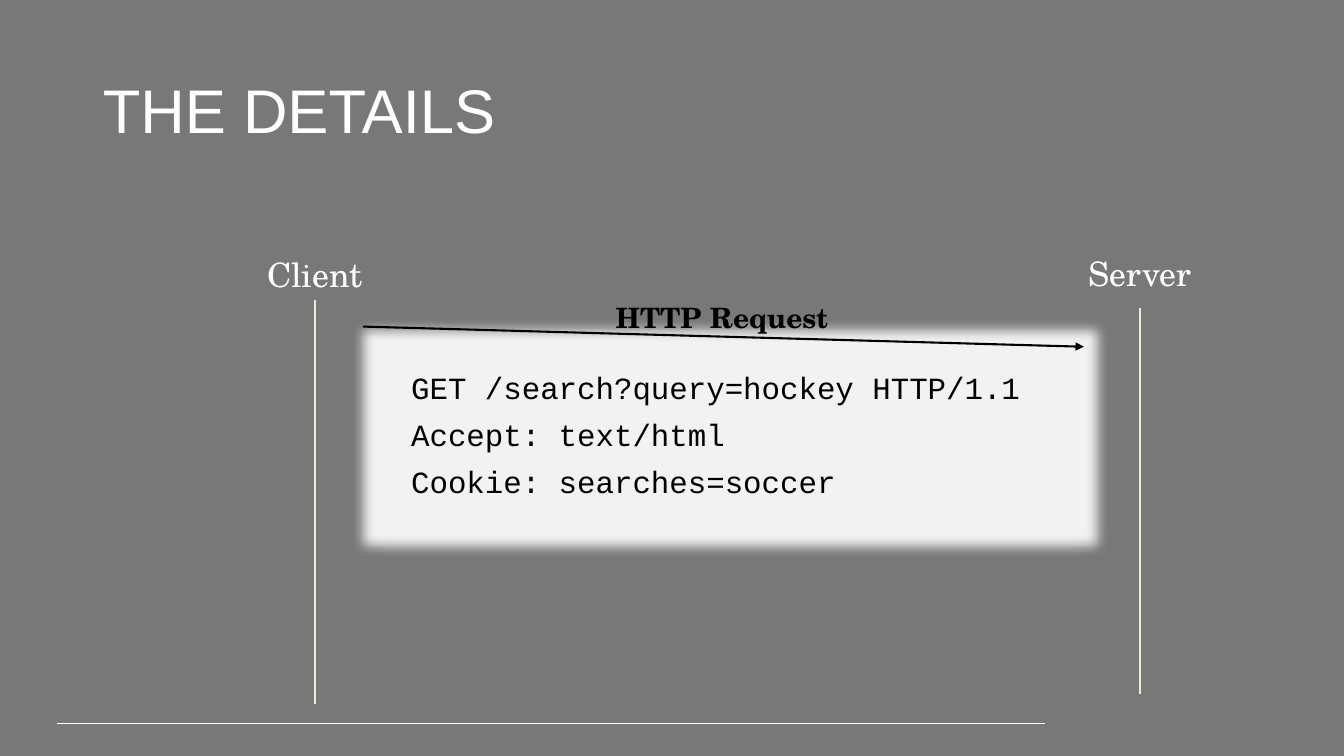
from lxml import etree
from pptx import Presentation
from pptx.dml.color import RGBColor
from pptx.enum import shapes, text
from pptx.oxml.ns import qn
from pptx.util import Inches, Pt

GREY = RGBColor(0x78, 0x78, 0x78)
WHITE = RGBColor(0xFF, 0xFF, 0xFF)
IVORY = RGBColor(0xEB, 0xEB, 0xDF)
PALE = RGBColor(0xF2, 0xF2, 0xF2)
BLACK = RGBColor(0, 0, 0)

SERIF = "TeX Gyre Schola"
LABEL = {"name": SERIF, "size": Pt(24)}
BOLD = {"name": SERIF, "size": Pt(20), "bold": True}
CODE = {"name": "Courier New", "size": Pt(22)}
HEAD = {"name": "Arial", "size": Pt(44), "bold": False}
MID = text.PP_ALIGN.CENTER
LEFT = text.PP_ALIGN.LEFT
REQUEST = ["GET /search?query=hockey HTTP/1.1", "Accept: text/html",
           "Cookie: searches=soccer"]


def write(shape, lines, form, color, align, anchor=text.MSO_ANCHOR.TOP):
    frame = shape.text_frame
    frame.word_wrap = True
    frame.auto_size = text.MSO_AUTO_SIZE.NONE
    frame.vertical_anchor = anchor
    frame.text = "\n".join(lines)
    for i, para in enumerate(frame.paragraphs):
        para.alignment = align
        para.line_spacing = 0.9
        para.space_before = Pt(10 if i else 0)
        for key, value in form.items():
            setattr(para.font, key, value)
        para.font.color.rgb = color


def label(slide, box, words, form, color):
    part = slide.shapes.add_textbox(*map(Inches, box))
    write(part, [words], form, color, MID)


def line(slide, start, end, color, width, arrow=False):
    part = slide.shapes.add_connector(
        shapes.MSO_CONNECTOR.STRAIGHT, *map(Inches, start + end))
    part.line.color.rgb = color
    part.line.width = Pt(width)
    props = part._element.spPr
    if arrow:
        etree.SubElement(props.find(qn("a:ln")), qn("a:tailEnd"),
                         type="triangle")
    etree.SubElement(props, qn("a:effectLst"))


def title(slide, box, words):
    part = slide.shapes.title
    part.left, part.top, part.width, part.height = map(Inches, box)
    write(part, [words], HEAD, WHITE, LEFT, text.MSO_ANCHOR.MIDDLE)


def party(slide, box, name, top, end):
    """A named side of the exchange with its lifeline."""
    x, y, w, h = box
    label(slide, box, name, LABEL, WHITE)
    mid = x + w / 2
    line(slide, (mid, top), (mid, end), IVORY, 1.5)


def request(slide, box):
    """The message panel with a soft glow, its arrow and its label."""
    x, y, w, h = box
    panel = slide.shapes.add_shape(shapes.MSO_SHAPE.RECTANGLE,
                                   *map(Inches, box))
    panel.shadow.inherit = False
    panel.fill.solid()
    panel.fill.fore_color.rgb = PALE
    panel.line.fill.background()
    effects = panel._element.spPr.find(qn("a:effectLst"))
    glow = etree.SubElement(effects, qn("a:glow"), rad=str(Inches(0.25)))
    etree.SubElement(glow, qn("a:srgbClr"), val=str(PALE))
    write(panel, REQUEST, CODE, BLACK, LEFT)
    line(slide, (x - 0.38, y - 0.41), (x + w + 0.24, y - 0.21),
         BLACK, 1.5, arrow=True)
    label(slide, (x + 1.87, y - 0.68, 2.62, 0.41), "HTTP Request",
          BOLD, BLACK)


def main():
    deck = Presentation()
    deck.slide_width, deck.slide_height = Inches(13.33), Inches(7.5)
    slide = deck.slides.add_slide(deck.slide_layouts[5])
    slide.background.fill.solid()
    slide.background.fill.fore_color.rgb = GREY

    # Footer rule and title
    line(slide, (0.57, 7.18), (10.36, 7.18), WHITE, 0.75)
    title(slide, (0.92, 0.4, 11.5, 1.45), "THE DETAILS")

    # Exchange
    party(slide, (2.25, 2.52, 1.75, 0.46), "Client", 2.98, 6.98)
    party(slide, (10.43, 2.51, 1.75, 0.46), "Server", 3.06, 6.89)
    request(slide, (3.98, 3.65, 6.53, 1.39))
    deck.save("out.pptx")


if __name__ == "__main__":
    main()
